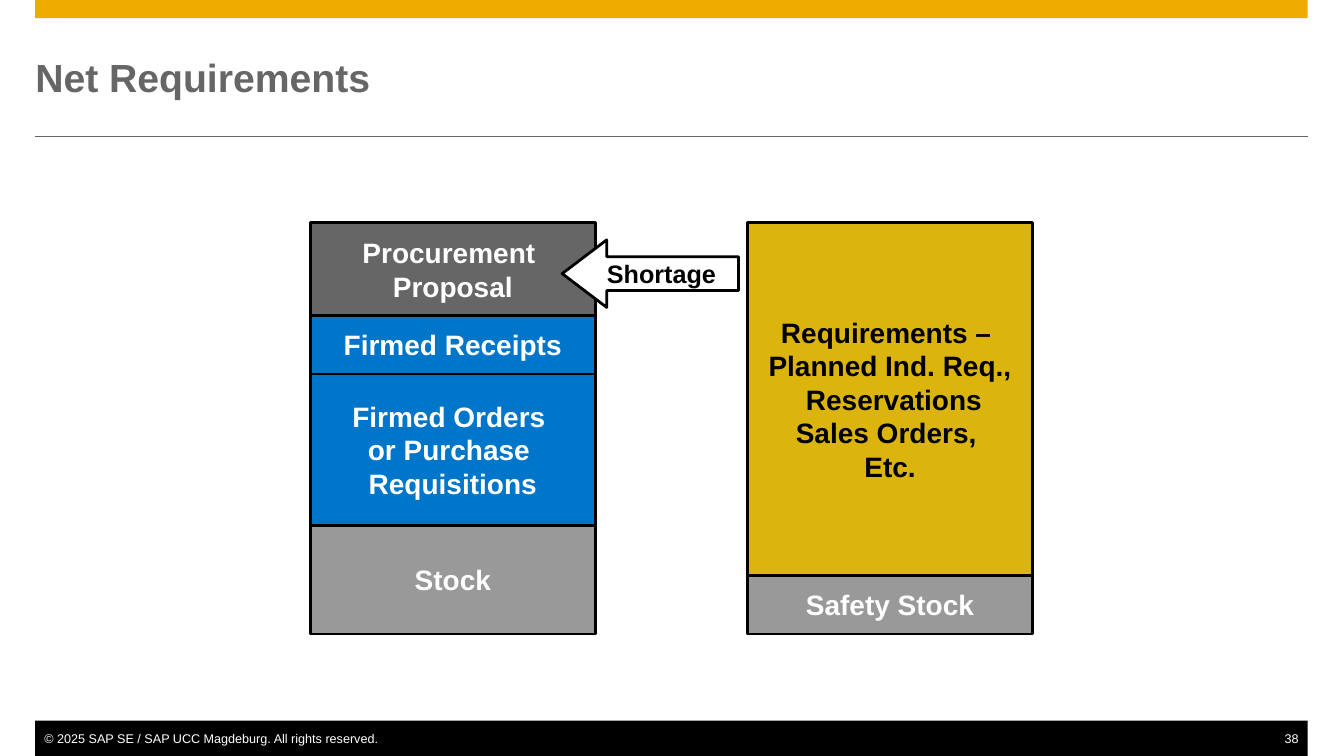
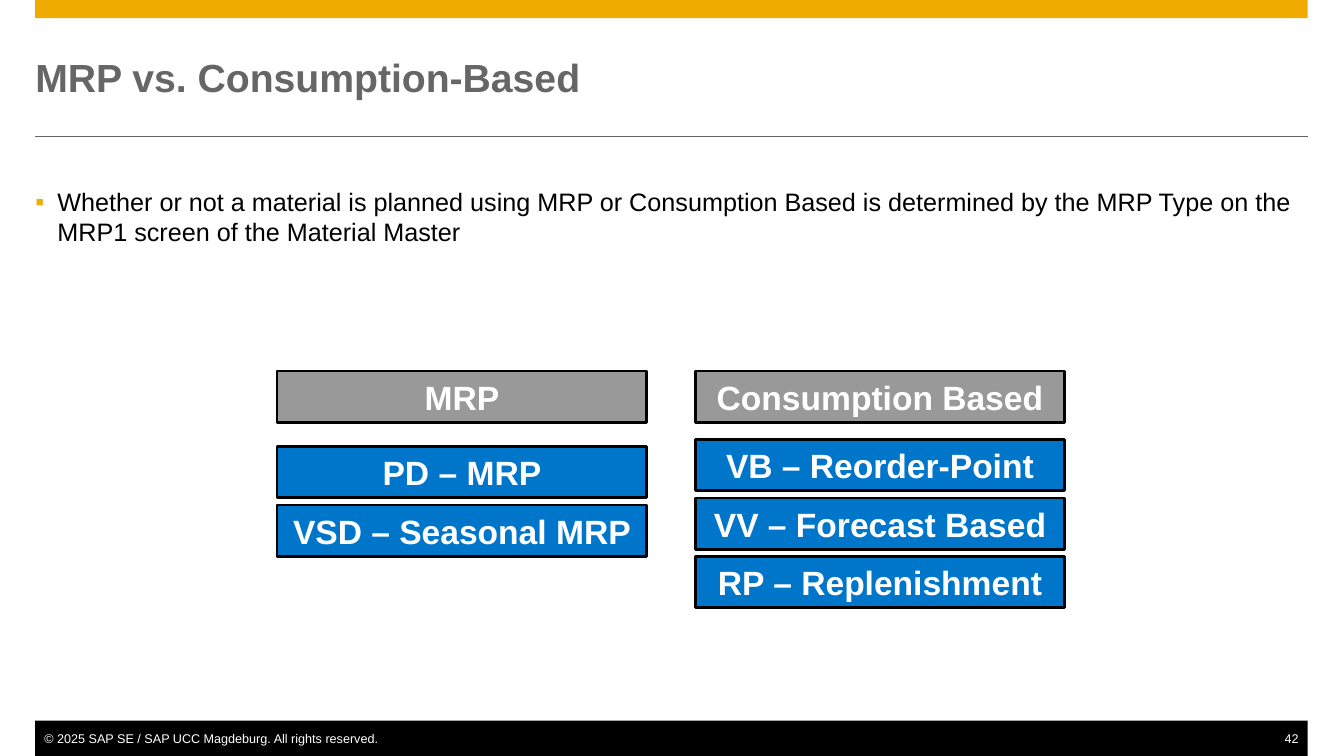
import pptx
import pptx.util
import pptx.dml.color
import pptx.enum.shapes
import pptx.enum.text
import pptx.oxml
import pptx.oxml.ns

Inches = pptx.util.Inches
Pt = pptx.util.Pt
RGBColor = pptx.dml.color.RGBColor
Shape = pptx.enum.shapes.MSO_SHAPE
Align = pptx.enum.text.PP_ALIGN
Anchor = pptx.enum.text.MSO_ANCHOR
AutoSize = pptx.enum.text.MSO_AUTO_SIZE

BLACK = RGBColor(0x00, 0x00, 0x00)
WHITE = RGBColor(0xFF, 0xFF, 0xFF)
AMBER = RGBColor(0xF0, 0xAB, 0x00)
GOLD = RGBColor(0xDB, 0xB4, 0x0D)
BLUE = RGBColor(0x00, 0x76, 0xCB)
DARK_GRAY = RGBColor(0x66, 0x66, 0x66)
GRAY = RGBColor(0x99, 0x99, 0x99)

FONT = "Arial"
LEFT, WIDTH = 0.35, 12.63
FOOTER = "© 2025 SAP SE / SAP UCC Magdeburg. All rights reserved."
TITLE_ONLY, TITLE_AND_BODY = 5, 1


def write(tf, text, size, color=BLACK, bold=False, align=Align.LEFT,
          anchor=Anchor.TOP, wrap=True, insets=(0, 0, 0, 0)):
    tf.auto_size = AutoSize.NONE
    tf.word_wrap = wrap
    tf.vertical_anchor = anchor
    tf.margin_left, tf.margin_top, tf.margin_right, tf.margin_bottom = map(Inches, insets)
    for i, line in enumerate(text.split("\n")):
        p = tf.add_paragraph() if i else tf.paragraphs[0]
        p.alignment = align
        p.space_before = Pt(0)
        r = p.add_run()
        r.text = line
        r.font.name = FONT
        r.font.size = Pt(size)
        r.font.bold = bold
        r.font.color.rgb = color


def place(sp, left, top, width, height):
    sp.left, sp.top, sp.width, sp.height = map(Inches, (left, top, width, height))


def add_bullet(p, indent, tab):
    pPr = p._p.get_or_add_pPr()
    pPr.set("marL", str(Inches(indent)))
    pPr.set("indent", str(-Inches(indent)))
    ns = pptx.oxml.ns.nsdecls("a")
    for xml in (
        f'<a:buClr {ns}><a:srgbClr val="{AMBER}"/></a:buClr>',
        f'<a:buFont {ns} typeface="{FONT}"/>',
        f'<a:buChar {ns} char="▪"/>',
        f'<a:tabLst {ns}><a:tab pos="{Inches(tab)}" algn="l"/></a:tabLst>',
    ):
        pPr.append(pptx.oxml.parse_xml(xml))


class Deck:
    def __init__(self):
        self.prs = pptx.Presentation()
        self.prs.slide_width = Inches(13.34)
        self.prs.slide_height = Inches(7.5)
        self.s = None

    def slide(self, title, number, layout=TITLE_ONLY):
        self.s = self.prs.slides.add_slide(self.prs.slide_layouts[layout])
        self.band(0, 0.18, AMBER)
        self.rule(1.35)
        self.band(7.15, 0.35, BLACK)
        self.label(FOOTER, LEFT, 3.45, insets=(0.09, 0, 0, 0))
        self.label(str(number), 12.73, 0.25, align=Align.RIGHT, insets=(0, 0, 0.09, 0))
        sp = self.s.shapes.title
        place(sp, LEFT, 0.35, WIDTH, 0.83)
        write(sp.text_frame, title, 28, DARK_GRAY, bold=True, anchor=Anchor.MIDDLE)

    def shape(self, kind, left, top, width, height, fill):
        sp = self.s.shapes.add_shape(kind, *map(Inches, (left, top, width, height)))
        sp.shadow.inherit = False
        sp.fill.solid()
        sp.fill.fore_color.rgb = fill
        return sp

    def band(self, top, height, fill):
        self.shape(Shape.RECTANGLE, LEFT, top, WIDTH, height, fill).line.fill.background()

    def rule(self, y):
        line = self.s.shapes.add_connector(
            pptx.enum.shapes.MSO_CONNECTOR.STRAIGHT,
            *map(Inches, (LEFT, y, LEFT + WIDTH, y)))
        line.line.color.rgb = DARK_GRAY
        line.line.width = Pt(0.5)
        line._element.spPr.append(pptx.oxml.parse_xml(
            f'<a:effectLst {pptx.oxml.ns.nsdecls("a")}/>'))

    def label(self, text, left, width, **fmt):
        sp = self.s.shapes.add_textbox(*map(Inches, (left, 7.25, width, 0.15)))
        write(sp.text_frame, text, 9, WHITE, wrap=False, **fmt)

    def body(self, text):
        sp = self.s.placeholders[1]
        place(sp, LEFT, 1.85, WIDTH, 4.8)
        write(sp.text_frame, text, 18)
        for p in sp.text_frame.paragraphs:
            add_bullet(p, 0.22, 2.16)

    def box(self, text, left, top, width, height, fill, size=20, color=WHITE,
            kind=Shape.RECTANGLE):
        sp = self.shape(kind, left, top, width, height, fill)
        sp.line.color.rgb = BLACK
        sp.line.width = Pt(2)
        write(sp.text_frame, text, size, color, bold=True, align=Align.CENTER,
              anchor=Anchor.MIDDLE, wrap=False, insets=(0.1, 0.05, 0.1, 0.05))
        return sp

    def stack(self, left, top, width, blocks):
        for text, height, fill, color in blocks:
            self.box(text, left, top, width, height, fill, color=color)
            top += height

    def type_column(self, left, header, first_top, types):
        width, height, pitch = 3.67, 0.51, 0.58
        self.box(header, left, 3.68, width, height, GRAY, size=24)
        for i, text in enumerate(types):
            self.box(text, left, first_top + i * pitch, width, height, BLUE, size=24)


def net_requirements(deck):
    deck.slide("Net Requirements", 38)
    top, width = 2.21, 2.83
    deck.stack(3.08, top, width, [
        ("Procurement \nProposal", 0.92, DARK_GRAY, WHITE),
        ("Firmed Receipts", 0.58, BLUE, WHITE),
        ("Firmed Orders \nor Purchase \nRequisitions", 1.5, BLUE, WHITE),
        ("Stock", 1.08, GRAY, WHITE),
    ])
    deck.stack(7.42, top, width, [
        ("Requirements – \nPlanned Ind. Req.,\n Reservations\nSales Orders, \nEtc.",
         3.5, GOLD, BLACK),
        ("Safety Stock", 0.58, GRAY, WHITE),
    ])
    arrow = deck.box("Shortage", 5.58, 2.38, 1.75, 0.67, WHITE, size=18, color=BLACK,
                     kind=Shape.LEFT_ARROW)
    arrow.adjustments[0] = 0.5
    arrow.adjustments[1] = 0.66


def mrp_or_consumption(deck):
    deck.slide("MRP vs. Consumption-Based", 42, TITLE_AND_BODY)
    deck.body("Whether or not a material is planned using MRP or Consumption Based is "
              "determined by the MRP Type on the MRP1 screen of the Material Master")
    deck.type_column(2.75, "MRP", 4.43, ["PD – MRP", "VSD – Seasonal MRP"])
    deck.type_column(6.9, "Consumption Based", 4.36,
                     ["VB – Reorder-Point", "VV – Forecast Based", "RP – Replenishment"])


def main():
    deck = Deck()
    net_requirements(deck)
    mrp_or_consumption(deck)
    deck.prs.save("out.pptx")


if __name__ == "__main__":
    main()
